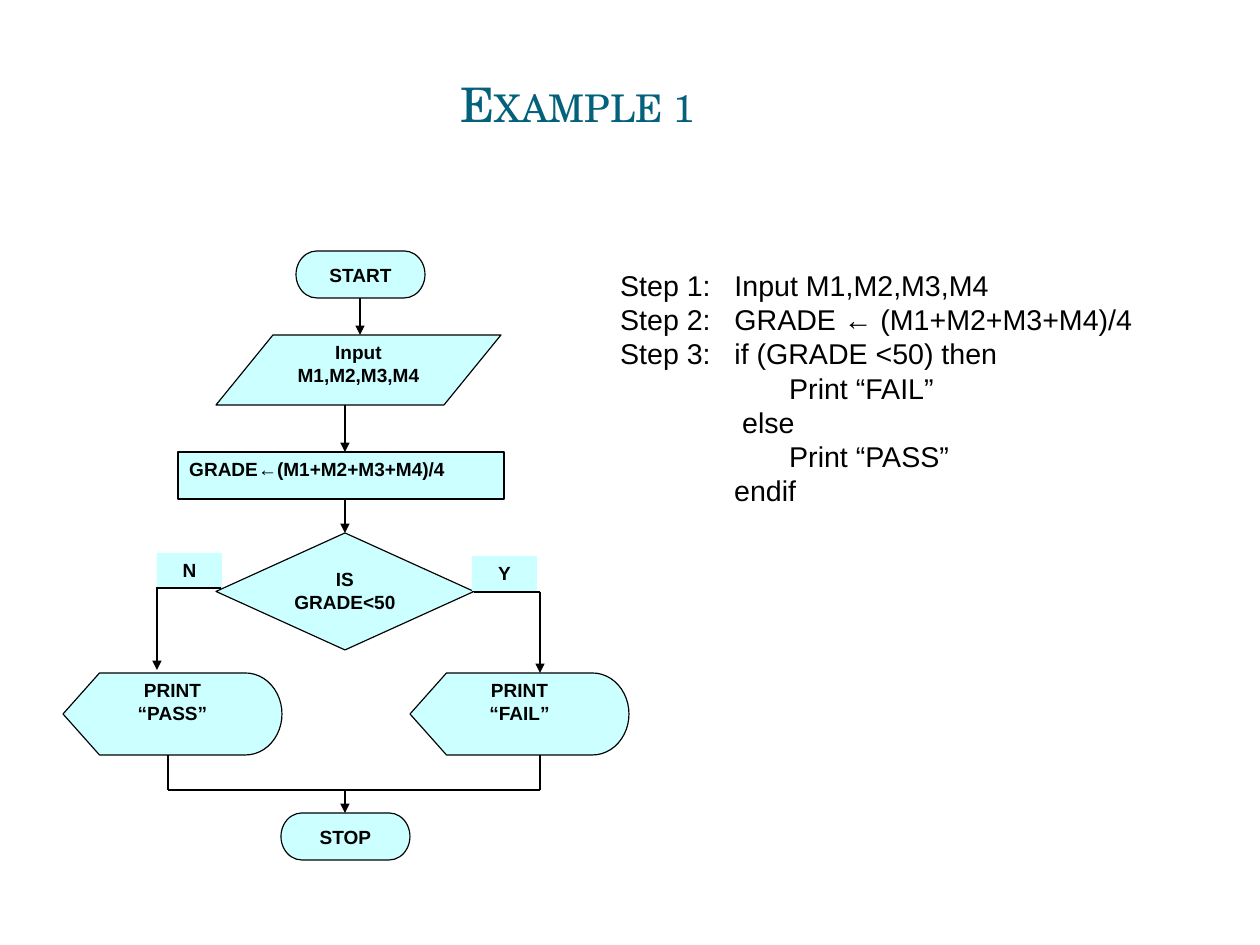
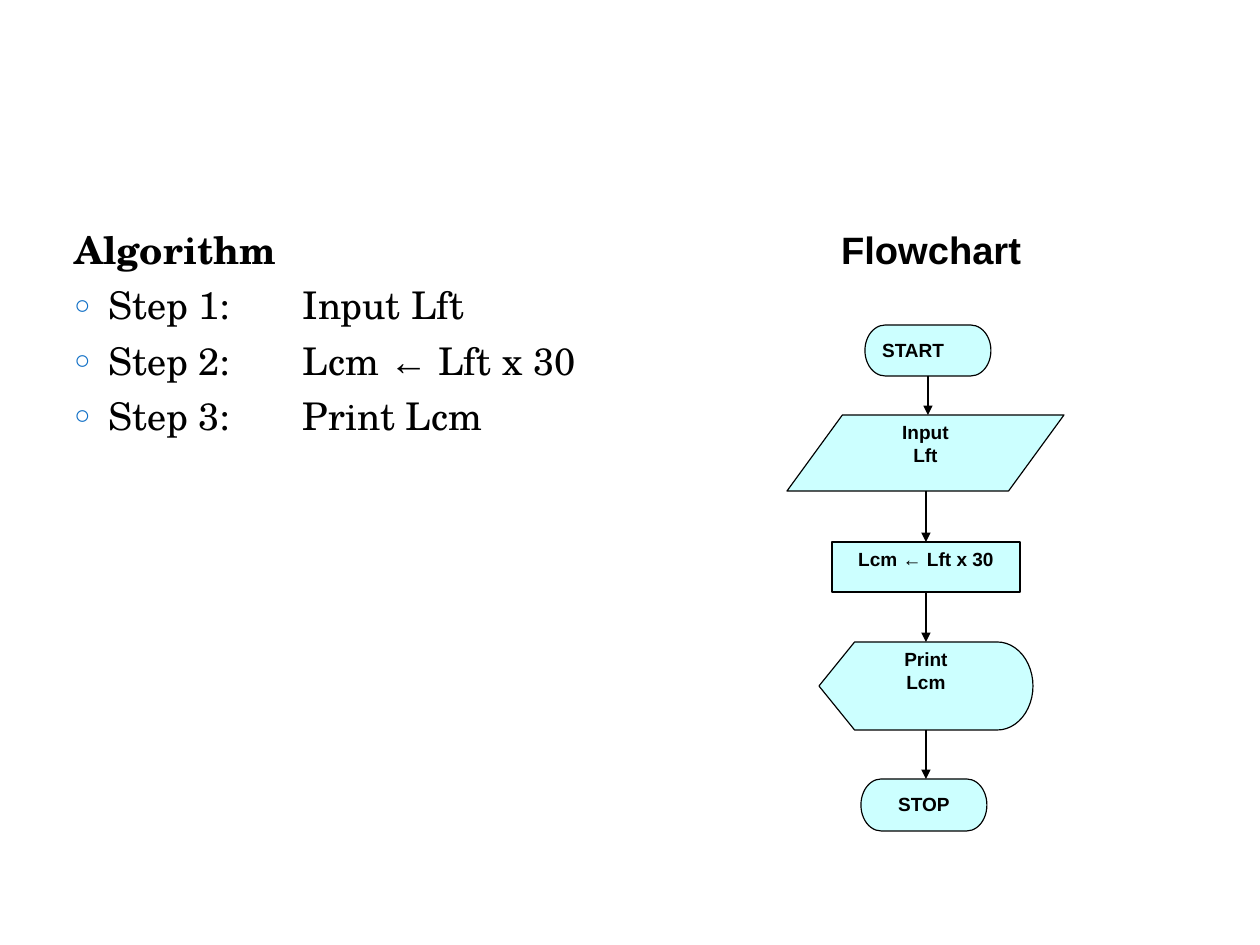
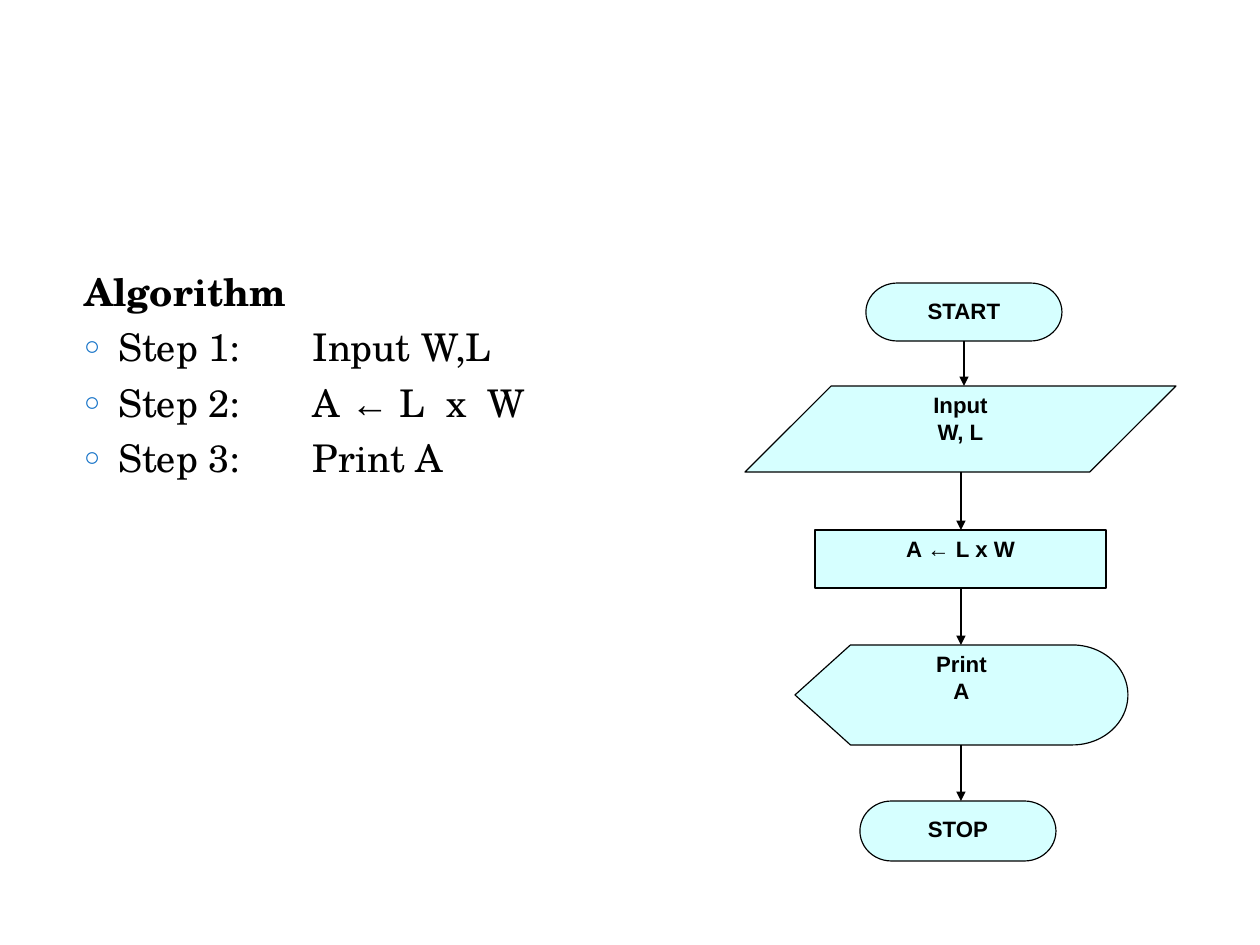
"""Build three slides that pair algorithms with their flowcharts."""
from pptx import Presentation
from pptx.dml.color import RGBColor
from pptx.enum.shapes import MSO_CONNECTOR, MSO_SHAPE as SHAPE
from pptx.enum.text import MSO_ANCHOR as ANCHOR, PP_ALIGN as ALIGN
from pptx.oxml.ns import qn
from pptx.util import Pt
from lxml.etree import SubElement

PX = 8000
TAB_WIDTH = 914400
BLACK = RGBColor(0x00, 0x00, 0x00)
TITLE_TEAL = RGBColor(0x04, 0x61, 0x7B)
BULLET_BLUE = RGBColor(0x0F, 0x6F, 0xC6)
BOX_CYAN = RGBColor(0xCC, 0xFF, 0xFF)
SANS = "Arial"
SERIF = "TeX Gyre Schola"
TERMINATOR = SHAPE.FLOWCHART_TERMINATOR
DATA = SHAPE.FLOWCHART_DATA
PROCESS = SHAPE.FLOWCHART_PROCESS
DECISION = SHAPE.FLOWCHART_DECISION
DISPLAY = SHAPE.FLOWCHART_DISPLAY
LABEL = SHAPE.RECTANGLE


def write_text(text_frame, lines, size, font, bold=False, align=ALIGN.LEFT, color=BLACK):
    """Fill a frame with one paragraph a line, with arrows in plain sans."""
    text_frame.word_wrap = True
    for index, line in enumerate(lines):
        paragraph = text_frame.paragraphs[0] if index == 0 else text_frame.add_paragraph()
        paragraph.alignment = align
        paragraph._p.get_or_add_pPr().set("defTabSz", str(TAB_WIDTH))
        for piece in filter(None, line.partition("←")):
            run = paragraph.add_run()
            run.text = piece
            run.font.size = Pt(size)
            run.font.name = SANS if piece == "←" else font
            run.font.bold = bold and piece != "←"
            run.font.color.rgb = color


def draw_line(slide, start_x, start_y, end_x, end_y, arrow=True):
    """Draw a thin black line, with an arrowhead at its end if wanted."""
    line = slide.shapes.add_connector(
        MSO_CONNECTOR.STRAIGHT, start_x * PX, start_y * PX, end_x * PX, end_y * PX)
    line.line.color.rgb = BLACK
    line.line.width = Pt(0.75)
    if arrow:
        outline = line.element.spPr.find(qn("a:ln"))
        SubElement(outline, qn("a:tailEnd"), type="triangle")
    SubElement(line.element.spPr, qn("a:effectLst"))


presentation = Presentation()
presentation.slide_width = 1260 * PX
presentation.slide_height = 945 * PX
blank = presentation.slide_layouts[6]
grade_slide, length_slide, area_slide = [presentation.slides.add_slide(blank) for _ in range(3)]

title = grade_slide.shapes.add_textbox(63 * PX, 19 * PX, 1029 * PX, 119 * PX)
title.text_frame.vertical_anchor = ANCHOR.BOTTOM
write_text(title.text_frame, ["Example 1"], 30, SERIF, align=ALIGN.CENTER, color=TITLE_TEAL)
title.text_frame.paragraphs[0].runs[0].font._element.set("cap", "small")

grade_steps = [
    (0, "Step 1:\tInput M1,M2,M3,M4"),
    (0, "Step 2:\tGRADE ← (M1+M2+M3+M4)/4"),
    (0, "Step 3:\tif (GRADE <50) then"),
    (169, "Print “FAIL”"),
    (122, "else"),
    (169, "Print “PASS”"),
    (114, "endif"),
]
steps_box = grade_slide.shapes.add_textbox(609 * PX, 262 * PX, 630 * PX, 286 * PX)
write_text(steps_box.text_frame, [line for _, line in grade_steps], 18, SANS)
for paragraph, (margin, _) in zip(steps_box.text_frame.paragraphs, grade_steps):
    paragraph._p.get_or_add_pPr().set("marL", str(margin * PX))

algorithms = [
    (length_slide, 63, 221, 1029, 672,
     ["Step 1:\tInput Lft", "Step 2:\tLcm ← Lft x 30", "Step 3:\tPrint Lcm"]),
    (area_slide, 73, 263, 1134, 535,
     ["Step 1:\tInput W,L", "Step 2:\tA ← L  x  W", "Step 3:\tPrint A"]),
]
for slide, left, top, width, height, steps in algorithms:
    body = slide.shapes.add_textbox(left * PX, top * PX, width * PX, height * PX)
    write_text(body.text_frame, ["Algorithm"] + steps, 24, SERIF)
    for index, paragraph in enumerate(body.text_frame.paragraphs):
        paragraph.space_before = Pt(6)
        properties = paragraph._p.get_or_add_pPr()
        properties.set("marL", str(34 * PX))
        properties.set("indent", str(-34 * PX))
        if index == 0:
            paragraph.runs[0].font.bold = True
            SubElement(properties, qn("a:buNone"))
        else:
            bullet_color = SubElement(properties, qn("a:buClr"))
            SubElement(bullet_color, qn("a:srgbClr"), val=str(BULLET_BLUE))
            SubElement(properties, qn("a:buSzPct"), val="70000")
            SubElement(properties, qn("a:buFont"), typeface=SANS)
            SubElement(properties, qn("a:buChar"), char="○")

heading = length_slide.shapes.add_textbox(830 * PX, 221 * PX, 304 * PX, 57 * PX)
write_text(heading.text_frame, ["Flowchart"], 24, SANS, bold=True)
heading.text_frame.paragraphs[0].space_before = Pt(12)

flowcharts = [
    (grade_slide, 12, 100, 345, [
        (TERMINATOR, 296, 251, 129, 47, "START"),
        (DATA, 216, 335, 285, 70, "Input\nM1,M2,M3,M4"),
        (PROCESS, 178, 452, 326, 47, "GRADE←(M1+M2+M3+M4)/4"),
        (DECISION, 216, 533, 258, 117, "IS\nGRADE<50"),
    ], [
        (DISPLAY, 63, 673, 219, 82, "PRINT\n“PASS”"),
        (DISPLAY, 410, 673, 219, 82, "PRINT\n“FAIL”"),
        (TERMINATOR, 281, 813, 129, 47, "STOP"),
        (LABEL, 472, 556, 65, 35, "Y"),
        (LABEL, 157, 553, 65, 35, "N"),
    ]),
    (length_slide, 12, 100, 926, [
        (TERMINATOR, 865, 325, 126, 51, "START"),
        (DATA, 787, 415, 277, 76, "Input\nLft"),
        (PROCESS, 832, 542, 188, 50, "Lcm ← Lft x 30"),
        (DISPLAY, 819, 642, 214, 88, "Print\nLcm"),
        (TERMINATOR, 861, 779, 126, 52, "STOP"),
    ], []),
    (area_slide, 14, 80, 961, [
        (TERMINATOR, 866, 283, 196, 58, "START"),
        (DATA, 745, 386, 431, 86, "Input\nW, L"),
        (PROCESS, 815, 530, 291, 58, "A ← L x W"),
        (DISPLAY, 795, 645, 333, 100, "Print\nA"),
        (TERMINATOR, 860, 801, 196, 60, "STOP"),
    ], []),
]
left_aligned = [(grade_slide, "GRADE←(M1+M2+M3+M4)/4"), (length_slide, "START")]
for slide, size, opacity, axis, chain, branches in flowcharts:
    for kind, left, top, width, height, text in chain + branches:
        box = slide.shapes.add_shape(kind, left * PX, top * PX, width * PX, height * PX)
        box.shadow.inherit = False
        box.fill.solid()
        box.fill.fore_color.rgb = BOX_CYAN
        if opacity < 100:
            fill_color = box.element.spPr.find(".//" + qn("a:srgbClr"))
            SubElement(fill_color, qn("a:alpha"), val=str(opacity * 1000))
        if kind == LABEL:
            box.line.fill.background()
        else:
            box.line.color.rgb = BLACK
            box.line.width = Pt(0.75)
        box.text_frame.vertical_anchor = ANCHOR.TOP
        align = ALIGN.LEFT if (slide, text) in left_aligned else ALIGN.CENTER
        write_text(box.text_frame, text.split("\n"), size, SANS, bold=True, align=align)
    for index, (upper, lower) in enumerate(zip(chain, chain[1:])):
        arrow_x = upper[1] + upper[3] // 2 if index == 0 else axis
        draw_line(slide, arrow_x, upper[2] + upper[4], arrow_x, lower[2])

for start_x, start_y, end_x, end_y, arrow in [
    (156, 588, 221, 588, False),
    (157, 588, 157, 670, True),
    (474, 592, 540, 592, False),
    (540, 592, 540, 673, True),
    (168, 790, 168, 755, False),
    (540, 790, 540, 755, False),
    (168, 790, 540, 790, False),
    (345, 790, 345, 813, True),
]:
    draw_line(grade_slide, start_x, start_y, end_x, end_y, arrow)

presentation.save("out.pptx")
